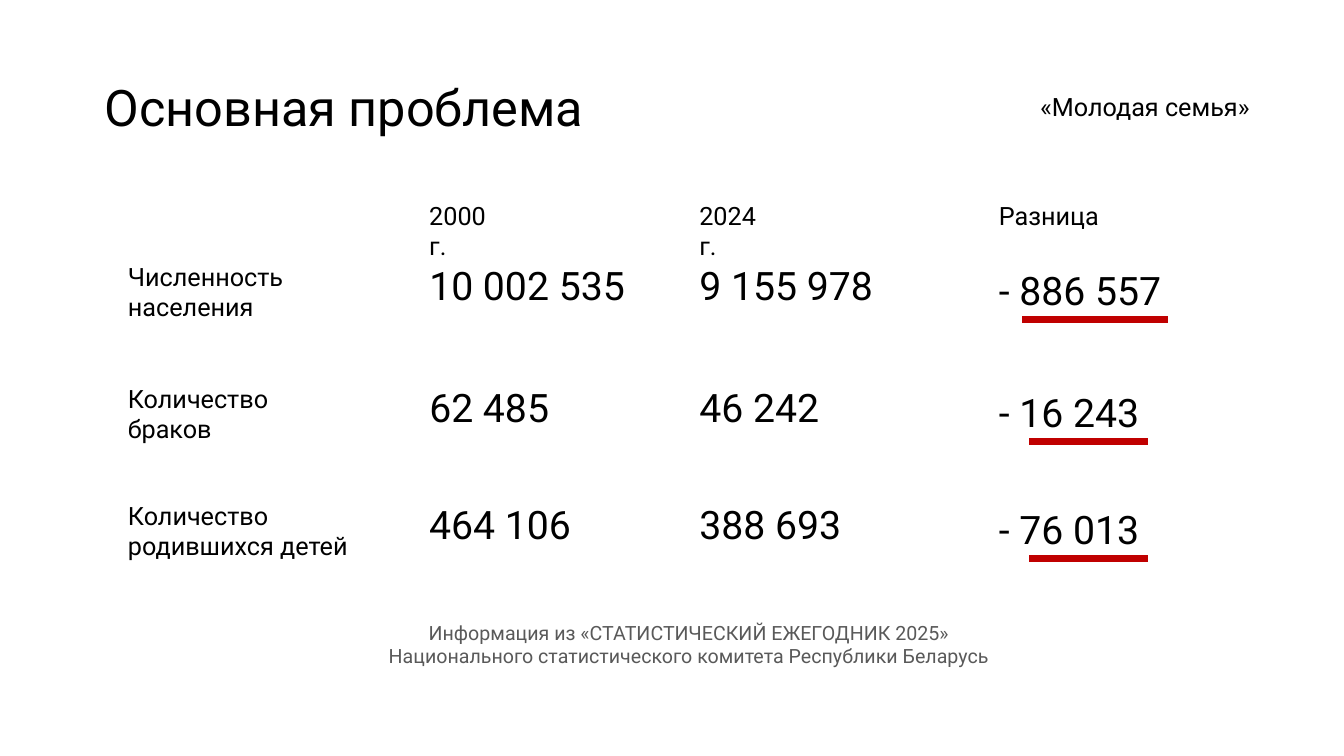
from lxml import etree
from pptx import Presentation, util as u
from pptx.dml.color import RGBColor
from pptx.enum import shapes, text
from pptx.oxml.ns import qn

BLACK = RGBColor(0x00, 0x00, 0x00)
GREY = RGBColor(0x59, 0x59, 0x59)
RED = RGBColor(0xC0, 0x00, 0x00)


class Page:
    """Style and current slide; lengths are in a grid of 100 columns by 100 rows."""

    font = "Roboto"

    def __init__(self, deck):
        self.column = deck.slide_width / 100
        self.row = deck.slide_height / 100
        self.slide = deck.slides.add_slide(deck.slide_layouts[6])

    def across(self, columns):
        return u.Emu(round(columns * self.column))

    def down(self, rows):
        return u.Emu(round(rows * self.row))

    def add_label(self, wording, left, top, width, height, size=18, color=BLACK,
                  align=text.PP_ALIGN.LEFT):
        box = self.slide.shapes.add_textbox(
            self.across(left), self.down(top), self.across(width), self.down(height))
        frame_format = {"word_wrap": False,
                        "auto_size": text.MSO_AUTO_SIZE.SHAPE_TO_FIT_TEXT}
        for name, value in frame_format.items():
            setattr(box.text_frame, name, value)
        box.text_frame.text = wording
        for paragraph in box.text_frame.paragraphs:
            paragraph.alignment = align
            for name, value in {"name": self.font, "size": u.Pt(size)}.items():
                setattr(paragraph.font, name, value)
            paragraph.font.color.rgb = color

    def add_underline(self, start, end, top):
        rule = self.slide.shapes.add_connector(
            shapes.MSO_CONNECTOR.STRAIGHT, self.across(start), self.down(top),
            self.across(end), self.down(top))
        rule.line.color.rgb = RED
        rule.line.width = u.Pt(4.5)
        etree.SubElement(rule._element.spPr, qn("a:effectLst"))


LABEL_LEFT = 8.78
YEAR_2000, YEAR_2024, DIFFERENCE = 31.2, 51.3, 73.58
HEADER_TOP = 25.87
LINE_HEIGHT, PAIR_HEIGHT, FIGURE_HEIGHT = 5.33, 9.47, 7.6
DIFFERENCE_DROP, UNDERLINE_DROP = 0.75, 8.4

# Wording, left, width
HEADERS = [
    ("2000 г.", YEAR_2000, 7.43),
    ("2024 г.", YEAR_2024, 7.43),
    ("Разница", DIFFERENCE, 9),
]

# Top, (label, width), (2000, width), (2024, width), (difference, width), underline span
INDICATORS = [
    (33.87, ("Численность\nнаселения", 13.2), ("10 002 535", 16.65),
     ("9 155 978", 14.93), ("- 886 557", 14.55), (76.05, 86.93)),
    (50, ("Количество\nбраков", 12.53), ("62 485", 10.8),
     ("46 242", 10.8), ("- 16 243", 12.83), (76.58, 85.43)),
    (65.47, ("Количество\nродившихся детей", 18.15), ("464 106", 12.53),
     ("388 693", 12.53), ("- 76 013", 12.83), (76.58, 85.43)),
]


def main():
    deck = Presentation()
    deck.slide_width, deck.slide_height = u.Inches(13.33), u.Inches(7.5)
    page = Page(deck)

    page.add_label("Основная проблема", 7.05, 9.47, 37.35, 9.47, size=36)
    page.add_label("«Молодая семья»", 76.65, 11.47, 17.48, LINE_HEIGHT)

    for heading, left, width in HEADERS:
        page.add_label(heading, left, HEADER_TOP, width, LINE_HEIGHT)

    for top, (label, label_width), before, after, change, span in INDICATORS:
        page.add_underline(*span, top + UNDERLINE_DROP)
        page.add_label(label, LABEL_LEFT, top, label_width, PAIR_HEIGHT)
        for (figure, width), left, drop in (
                (before, YEAR_2000, 0),
                (after, YEAR_2024, 0.1),
                (change, DIFFERENCE, DIFFERENCE_DROP)):
            page.add_label(figure, left, top + drop, width, FIGURE_HEIGHT, size=28)

    page.add_label("Информация из «СТАТИСТИЧЕСКИЙ ЕЖЕГОДНИК 2025»\n"
                   "Национального статистического комитета Республики Беларусь",
                   27.9, 81.47, 46.73, 7.6, size=14, color=GREY,
                   align=text.PP_ALIGN.CENTER)

    deck.save("out.pptx")


if __name__ == "__main__":
    main()
